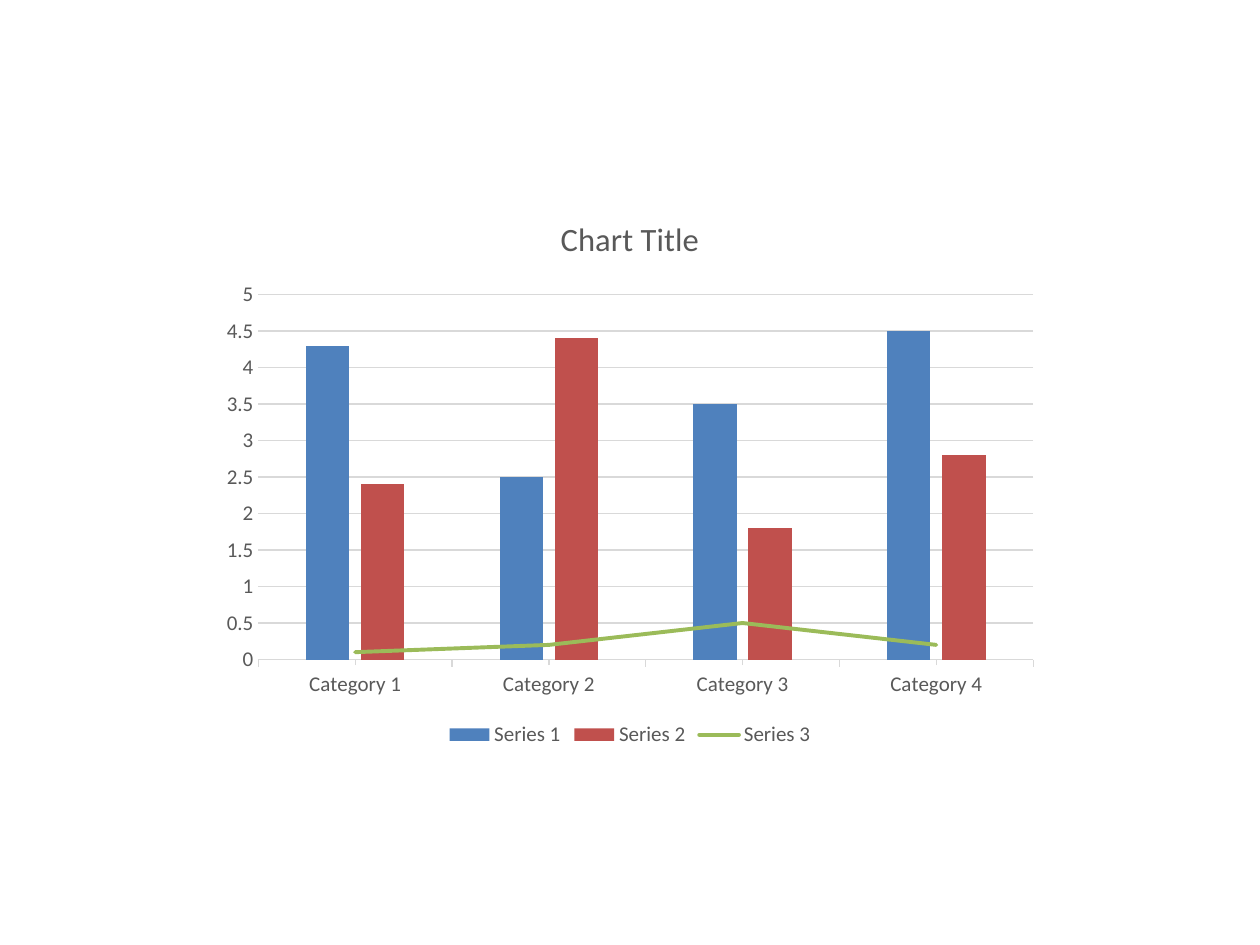
"""Build a slide with a combined column and line chart."""
from lxml import etree
from pptx import Presentation
from pptx import util as u
from pptx.chart.data import CategoryChartData
from pptx.dml.color import RGBColor
from pptx.enum import chart as c
from pptx.oxml.ns import qn

COLORS = {"text": "595959", "rule": "D9D9D9", "Series 1": "4F81BD",
          "Series 2": "C0504D", "Series 3": "9BBB59"}
VALUES = {"Series 1": (4.3, 2.5, 3.5, 4.5),
          "Series 2": (2.4, 4.4, 1.8, 2.8),
          "Series 3": (0.1, 0.2, 0.5, 0.2)}


def style_font(font, size):
    font.name = "Calibri"
    font.size = u.Pt(size)
    font.bold = False
    font.color.rgb = RGBColor.from_string(COLORS["text"])


def style_line(line, color, width):
    line.color.rgb = RGBColor.from_string(COLORS[color])
    line.width = u.Pt(width)


def add_columns(slide, width, height):
    data = CategoryChartData(number_format="General")
    data.categories = [f"Category {n}" for n in range(1, 5)]
    for name, values in VALUES.items():
        data.add_series(name, values)
    chart_width, chart_height = int(width * 2 / 3), u.Inches(4.44)
    frame = slide.shapes.add_chart(
        c.XL_CHART_TYPE.COLUMN_CLUSTERED, (width - chart_width) // 2,
        (height - chart_height) // 2, chart_width, chart_height, data)
    return frame.chart


def move_last_series_to_line(chart):
    """Draw the last column series as a line on the same axes."""
    bars = chart.plots[0]._element
    series = bars.findall(qn("c:ser"))[-1]
    for invert in series.findall(qn("c:invertIfNegative")):
        series.remove(invert)
    lines = etree.SubElement(bars.getparent(), qn("c:lineChart"))
    bars.addnext(lines)
    etree.SubElement(lines, qn("c:grouping")).set("val", "standard")
    etree.SubElement(lines, qn("c:varyColors")).set("val", "0")
    lines.append(series)
    etree.SubElement(lines, qn("c:marker")).set("val", "1")
    for axis in bars.findall(qn("c:axId")):
        etree.SubElement(lines, qn("c:axId")).set("val", axis.get("val"))


def style_plots(chart):
    columns, lines = chart.plots
    columns.gap_width, columns.overlap = 219, -27
    columns.vary_by_categories = False
    for series in columns.series:
        series.format.fill.solid()
        series.format.fill.fore_color.rgb = RGBColor.from_string(COLORS[series.name])
    for series in lines.series:
        style_line(series.format.line, series.name, 2.25)
        series.format.line._get_or_add_ln().set("cap", "rnd")
        series.marker.style = c.XL_MARKER_STYLE.NONE
        series.smooth = False


def style_axes(chart):
    categories, scale = chart.category_axis, chart.value_axis
    for axis in (categories, scale):
        style_font(axis.tick_labels.font, 12)
    categories.major_tick_mark = c.XL_TICK_MARK.OUTSIDE
    categories.minor_tick_mark = c.XL_TICK_MARK.OUTSIDE
    style_line(categories.format.line, "rule", 0.75)
    scale.minimum_scale, scale.maximum_scale, scale.major_unit = 0, 5, 0.5
    scale.major_tick_mark = c.XL_TICK_MARK.NONE
    scale.minor_tick_mark = c.XL_TICK_MARK.NONE
    scale.format.line.fill.background()
    scale.has_major_gridlines = True
    style_line(scale.major_gridlines.format.line, "rule", 0.75)


def add_heading_and_legend(chart):
    chart.has_title = True
    heading = chart.chart_title.text_frame
    heading.text = "Chart Title"
    style_font(heading.paragraphs[0].runs[0].font, 18.6)
    chart.chart_title.include_in_layout = False
    chart.has_legend = True
    chart.legend.position = c.XL_LEGEND_POSITION.BOTTOM
    chart.legend.include_in_layout = False
    style_font(chart.legend.font, 12)


def main():
    deck = Presentation()
    deck.slide_width, deck.slide_height = u.Inches(10), u.Inches(7.5)
    slide = deck.slides.add_slide(deck.slide_layouts[6])
    chart = add_columns(slide, deck.slide_width, deck.slide_height)
    move_last_series_to_line(chart)
    style_plots(chart)
    style_axes(chart)
    add_heading_and_legend(chart)
    deck.save("out.pptx")


if __name__ == "__main__":
    main()
